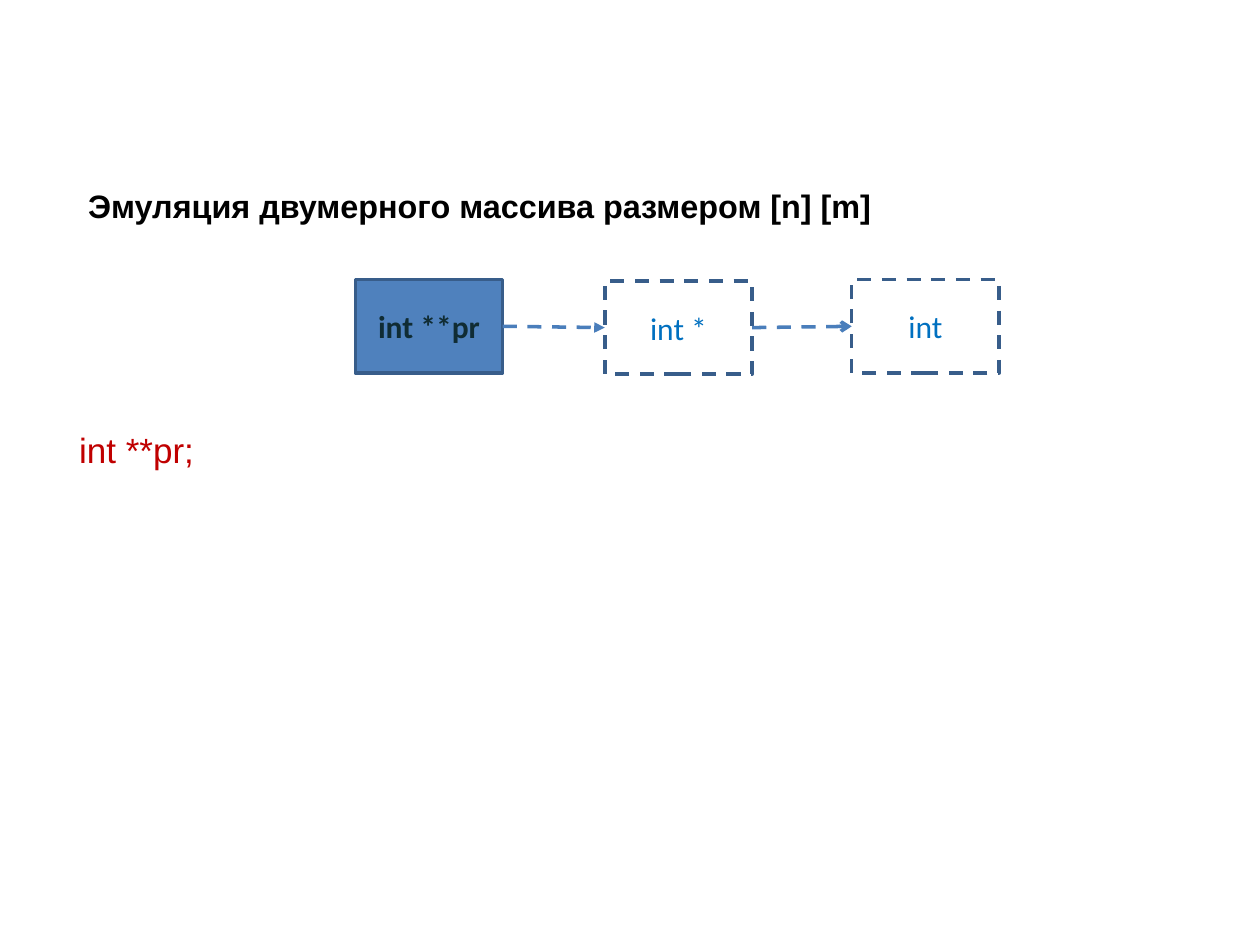
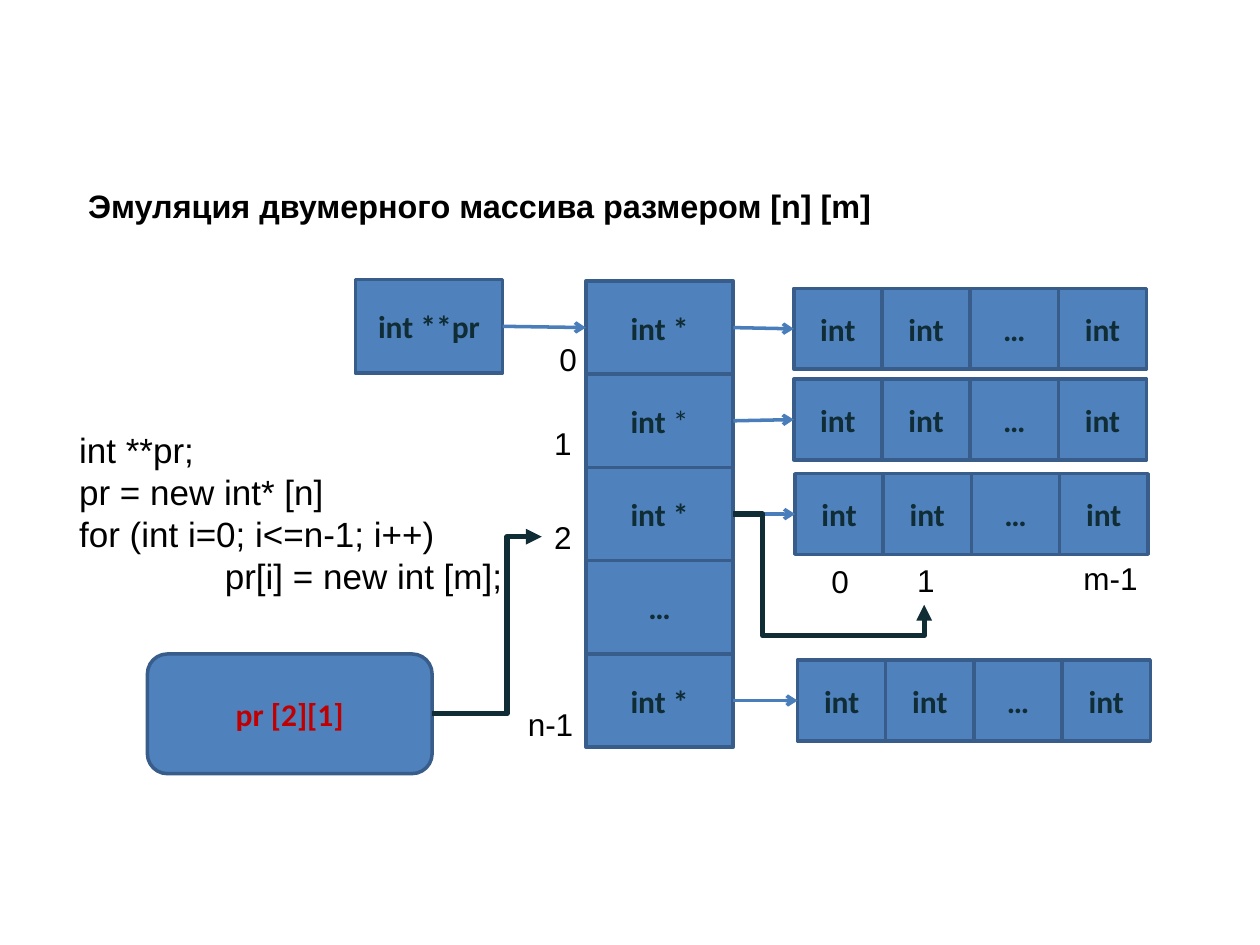
from lxml import etree
from pptx import Presentation
from pptx.dml.color import RGBColor
from pptx.enum.dml import MSO_LINE
from pptx.enum.shapes import MSO_CONNECTOR, MSO_SHAPE
from pptx.enum.text import MSO_ANCHOR, MSO_AUTO_SIZE, PP_ALIGN
from pptx.oxml.ns import qn
from pptx.util import Inches, Pt

RECT = MSO_SHAPE.RECTANGLE
ROUND = MSO_SHAPE.ROUNDED_RECTANGLE
STRAIGHT = MSO_CONNECTOR.STRAIGHT
ELBOW = MSO_CONNECTOR.ELBOW
DASH = MSO_LINE.DASH
TOP, MIDDLE = MSO_ANCHOR.TOP, MSO_ANCHOR.MIDDLE
LEFT, CENTER = PP_ALIGN.LEFT, PP_ALIGN.CENTER
FIXED = MSO_AUTO_SIZE.NONE
LEFT_SIDE, LOW_SIDE, RIGHT_SIDE = 1, 2, 3

COLORS = {
    "fill": "4F81BD", "edge": "385D8A", "link": "4A7EBB", "dark": "102C34",
    "blue": "0070C0", "red": "C00000", "black": "000000",
}
TITLE = "Эмуляция двумерного массива размером [n] [m]"
CELL_W, CELL_H = 1.17, 0.74
ITEM_W, ITEM_H = 0.7, 0.64


def color(name):
    return RGBColor.from_string(COLORS[name])


def write(frame, text, size=18, font="Arial", tint="black", bold=False,
          align=LEFT, anchor=TOP, space=None, light=""):
    frame.word_wrap = True
    frame.auto_size = FIXED
    frame.vertical_anchor = anchor
    for num, line in enumerate(text.split("\n")):
        para = frame.paragraphs[0] if num == 0 else frame.add_paragraph()
        para.alignment = align
        para.line_spacing = space
        parts = [(line, bold), (light, False)] if light else [(line, bold)]
        for words, heavy in parts:
            run = para.add_run()
            run.text = words
            run.font.size = Pt(size)
            run.font.name = font
            run.font.bold = heavy
            run.font.color.rgb = color(tint)


def place(shape, left, top, width, height):
    shape.left, shape.top = Inches(left), Inches(top)
    shape.width, shape.height = Inches(width), Inches(height)


def label(slide, text, left, top, width=0.31, height=0.4, **style):
    note = slide.shapes.add_textbox(*map(Inches, (left, top, width, height)))
    write(note.text_frame, text, **style)
    return note


def cell(shapes, text, left, top, width=CELL_W, height=CELL_H, kind=RECT,
         empty=False, tint="dark", light=""):
    box = shapes.add_shape(kind, *map(Inches, (left, top, width, height)))
    box.shadow.inherit = False
    box.line.color.rgb = color("edge")
    box.line.width = Pt(2)
    if empty:
        box.fill.background()
        box.line.dash_style = DASH
    else:
        box.fill.solid()
        box.fill.fore_color.rgb = color("fill")
    write(box.text_frame, text, font="Calibri", tint=tint, bold=not empty,
          align=CENTER, anchor=MIDDLE, light=light)
    return box


def link(slide, start, end, side=LEFT_SIDE, kind=STRAIGHT, tint="link",
         width=2, head="arrow", dash=False):
    line = slide.shapes.add_connector(kind, 0, 0, 0, 0)
    line.begin_connect(start, RIGHT_SIDE)
    line.end_connect(end, side)
    line.line.color.rgb = color(tint)
    line.line.width = Pt(width)
    if dash:
        line.line.dash_style = DASH
    props = line.element.spPr
    etree.SubElement(props.find(qn("a:ln")), qn("a:tailEnd"), type=head)
    etree.SubElement(props, qn("a:effectLst"))
    return line


def bend(slide, start, end, side, preset, guides):
    line = link(slide, start, end, side, ELBOW, "dark", 3, "triangle")
    geom = line.element.spPr.find(qn("a:prstGeom"))
    geom.set("prst", preset)
    for old in list(geom):
        geom.remove(old)
    values = etree.SubElement(geom, qn("a:avLst"))
    for name, value in guides.items():
        etree.SubElement(values, qn("a:gd"), name=name, fmla=f"val {value}")


def begin(deck):
    slide = deck.slides.add_slide(deck.slide_layouts[5])
    title = slide.shapes.title
    place(title, 0.6, 1.51, 7.5, 0.34)
    write(title.text_frame, TITLE, size=18.5, bold=True, space=0.7)
    root = cell(slide.shapes, "int **pr", 2.82, 2.22)
    return slide, root


def row(slide, left, top):
    group = slide.shapes.add_group_shape()
    items = [cell(group.shapes, text, left + num * ITEM_W, top, ITEM_W, ITEM_H)
             for num, text in enumerate(("int", "int", "…", "int"))]
    return items[0]


def column(slide, left, top):
    texts = (("int *", ""), ("int ", "*"), ("int *", ""), ("…", ""), ("int *", ""))
    return [cell(slide.shapes, text, left, top + num * CELL_H, light=light)
            for num, (text, light) in enumerate(texts)]


def intro(deck):
    slide, root = begin(deck)
    ref = cell(slide.shapes, "int *", 4.8, 2.23, empty=True, tint="blue")
    item = cell(slide.shapes, "int", 6.76, 2.22, empty=True, tint="blue")
    link(slide, root, ref, head="triangle", dash=True)
    link(slide, ref, item, dash=True)
    label(slide, "int **pr;", 0.53, 3.35, 3.76, 0.44, size=20, tint="red")


def detail(deck):
    slide, root = begin(deck)
    code = ("int **pr;\npr = new int* [n]\nfor (int i=0; i<=n-1; i++)\n"
            "               pr[i] = new int [m];")
    label(slide, code, 0.53, 3.35, 3.76, 1.44, size=20)
    refs = column(slide, 4.65, 2.23)
    link(slide, root, refs[0])

    label(slide, "0", 4.34, 2.65)
    label(slide, "1", 4.3, 3.32)
    second = label(slide, "2", 4.3, 4.06)
    label(slide, "n-1", 4.09, 5.55, 0.65)

    rows = ((0, 6.3, 2.29), (1, 6.3, 3.01), (2, 6.31, 3.76), (4, 6.33, 5.24))
    for num, left, top in rows:
        link(slide, refs[num], row(slide, left, top))

    label(slide, "0", 6.5, 4.41)
    first = label(slide, "1", 7.18, 4.4)
    label(slide, "m-1", 8.5, 4.39, 0.69)

    query = cell(slide.shapes, "pr [2][1]", 1.17, 5.19, 2.26, 0.95,
                 kind=ROUND, tint="red")
    bend(slide, query, second, LEFT_SIDE, "bentConnector3", {"adj1": 68300})
    bend(slide, refs[2], first, LOW_SIDE, "bentConnector4",
         {"adj1": 15400, "adj2": 134000})


def main():
    deck = Presentation()
    deck.slide_width, deck.slide_height = Inches(10), Inches(7.5)
    intro(deck)
    detail(deck)
    deck.save("out.pptx")


if __name__ == "__main__":
    main()
